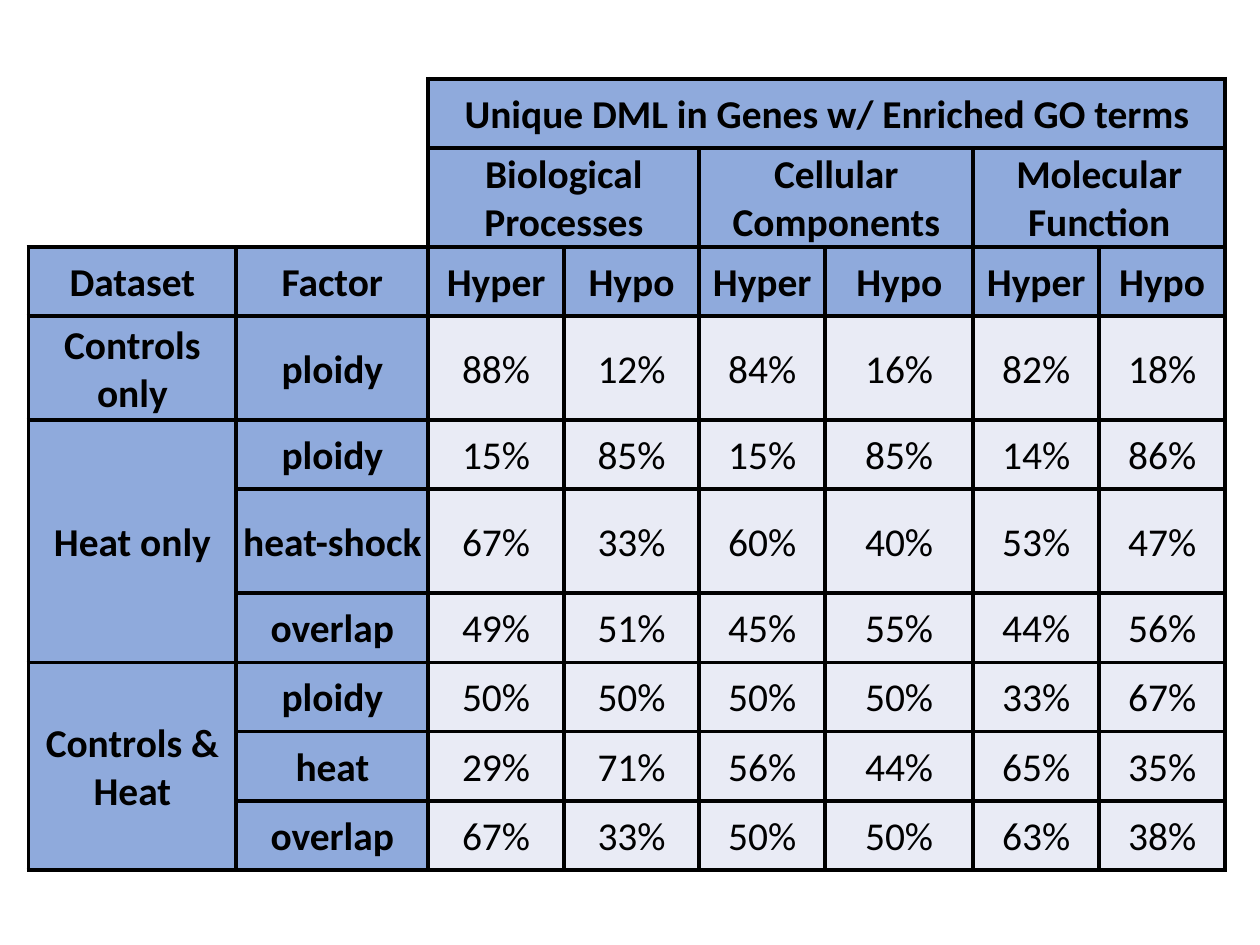
from lxml import etree
from pptx import Presentation
from pptx.dml.color import RGBColor
from pptx.enum.text import MSO_ANCHOR, PP_ALIGN
from pptx.oxml.ns import qn
from pptx.util import Inches, Pt

CENTER = PP_ALIGN.CENTER
MIDDLE = MSO_ANCHOR.MIDDLE

BLACK = RGBColor(0x00, 0x00, 0x00)
WHITE = RGBColor(0xFF, 0xFF, 0xFF)
HEADER_BLUE = RGBColor(0x8F, 0xAA, 0xDC)
VALUE_GREY = RGBColor(0xE9, 0xEB, 0xF5)

COLUMN_WIDTHS = [0.66, 0.61, 0.43, 0.43, 0.4, 0.47, 0.4, 0.4]
ROW_HEIGHTS = [0.22, 0.22, 0.22, 0.33, 0.22, 0.33, 0.22, 0.22, 0.22, 0.22]
LABEL_COLUMNS = 2
HEADER_ROWS = 3
BLANK_ROWS = 2  # rows whose label columns stay empty

TERM_GROUPS = ["Biological Processes", "Cellular Components", "Molecular Function"]

# Dataset, then each factor with its Hyper/Hypo percentages
RESULTS = [
    ("Controls only", [("ploidy", [88, 12, 84, 16, 82, 18])]),
    ("Heat only", [
        ("ploidy", [15, 85, 15, 85, 14, 86]),
        ("heat-shock", [67, 33, 60, 40, 53, 47]),
        ("overlap", [49, 51, 45, 55, 44, 56]),
    ]),
    ("Controls & Heat", [
        ("ploidy", [50, 50, 50, 50, 33, 67]),
        ("heat", [29, 71, 56, 44, 65, 35]),
        ("overlap", [67, 33, 50, 50, 63, 38]),
    ]),
]


class SlideBuilder:
    def __init__(self, slide, font="Calibri", size=9, line_width=1):
        self.slide = slide
        self.font = font
        self.size = size
        self.line_width = line_width

    def table(self, left, top, widths, heights):
        frame = self.slide.shapes.add_table(
            len(heights), len(widths), Inches(left), Inches(top),
            Inches(sum(widths)), Inches(sum(heights)))
        grid = frame.table
        grid.first_row = grid.horz_banding = False
        for column, width in zip(grid.columns, widths):
            column.width = Inches(width)
        for row, height in zip(grid.rows, heights):
            row.height = Inches(height)
        return grid

    def cell(self, cell, fill, bold, borders):
        cell.margin_left = cell.margin_right = cell.margin_top = Inches(0.01)
        cell.margin_bottom = 0
        cell.vertical_anchor = MIDDLE
        self.borders(cell, borders)
        cell.fill.solid()
        cell.fill.fore_color.rgb = fill
        paragraph = cell.text_frame.paragraphs[0]
        paragraph.alignment = CENTER
        for run in paragraph.runs:
            run.font.name = self.font
            run.font.size = Pt(self.size)
            run.font.bold = bold
            run.font.color.rgb = BLACK
        if not paragraph.runs:  # keeps empty cells from stretching their row
            etree.SubElement(paragraph._p, qn("a:endParaRPr"), sz=str(self.size * 100))

    def borders(self, cell, drawn):
        properties = cell._tc.get_or_add_tcPr()
        for side in "LRTB":
            line = etree.SubElement(properties, qn(f"a:ln{side}"),
                                    w=str(Pt(self.line_width)))
            if side in drawn:
                solid = etree.SubElement(line, qn("a:solidFill"))
                etree.SubElement(solid, qn("a:srgbClr"), val=str(BLACK))
            else:
                etree.SubElement(line, qn("a:noFill"))


def main():
    prs = Presentation()
    prs.slide_width, prs.slide_height = Inches(4), Inches(3)
    builder = SlideBuilder(prs.slides.add_slide(prs.slide_layouts[6]))
    grid = builder.table(0.09, 0.25, COLUMN_WIDTHS, ROW_HEIGHTS)
    last_column = len(COLUMN_WIDTHS) - 1

    # Column headings
    grid.cell(0, LABEL_COLUMNS).text = "Unique DML in Genes w/ Enriched GO terms"
    grid.cell(0, LABEL_COLUMNS).merge(grid.cell(0, last_column))
    for index, group in enumerate(TERM_GROUPS):
        column = LABEL_COLUMNS + 2 * index
        grid.cell(1, column).text = group
        grid.cell(1, column).merge(grid.cell(1, column + 1))
    headings = ["Dataset", "Factor"] + ["Hyper", "Hypo"] * len(TERM_GROUPS)
    for column, heading in enumerate(headings):
        grid.cell(2, column).text = heading

    # Datasets, factors and percentages
    row = HEADER_ROWS
    for dataset, factors in RESULTS:
        grid.cell(row, 0).text = dataset
        if len(factors) > 1:
            grid.cell(row, 0).merge(grid.cell(row + len(factors) - 1, 0))
        for factor, percentages in factors:
            grid.cell(row, 1).text = factor
            for column, value in enumerate(percentages, LABEL_COLUMNS):
                grid.cell(row, column).text = f"{value}%"
            row += 1

    # Fills, borders and text style
    for row in range(len(ROW_HEIGHTS)):
        for column in range(len(COLUMN_WIDTHS)):
            is_label = column < LABEL_COLUMNS
            is_header = is_label or row < HEADER_ROWS
            fill = HEADER_BLUE if is_header else VALUE_GREY
            borders = "LRTB"
            if is_label and row < BLANK_ROWS:
                fill = WHITE
                borders = ("R" if column == LABEL_COLUMNS - 1 else "") + (
                    "B" if row == BLANK_ROWS - 1 else "")
            builder.cell(grid.cell(row, column), fill, is_header, borders)

    prs.save("out.pptx")


if __name__ == "__main__":
    main()
